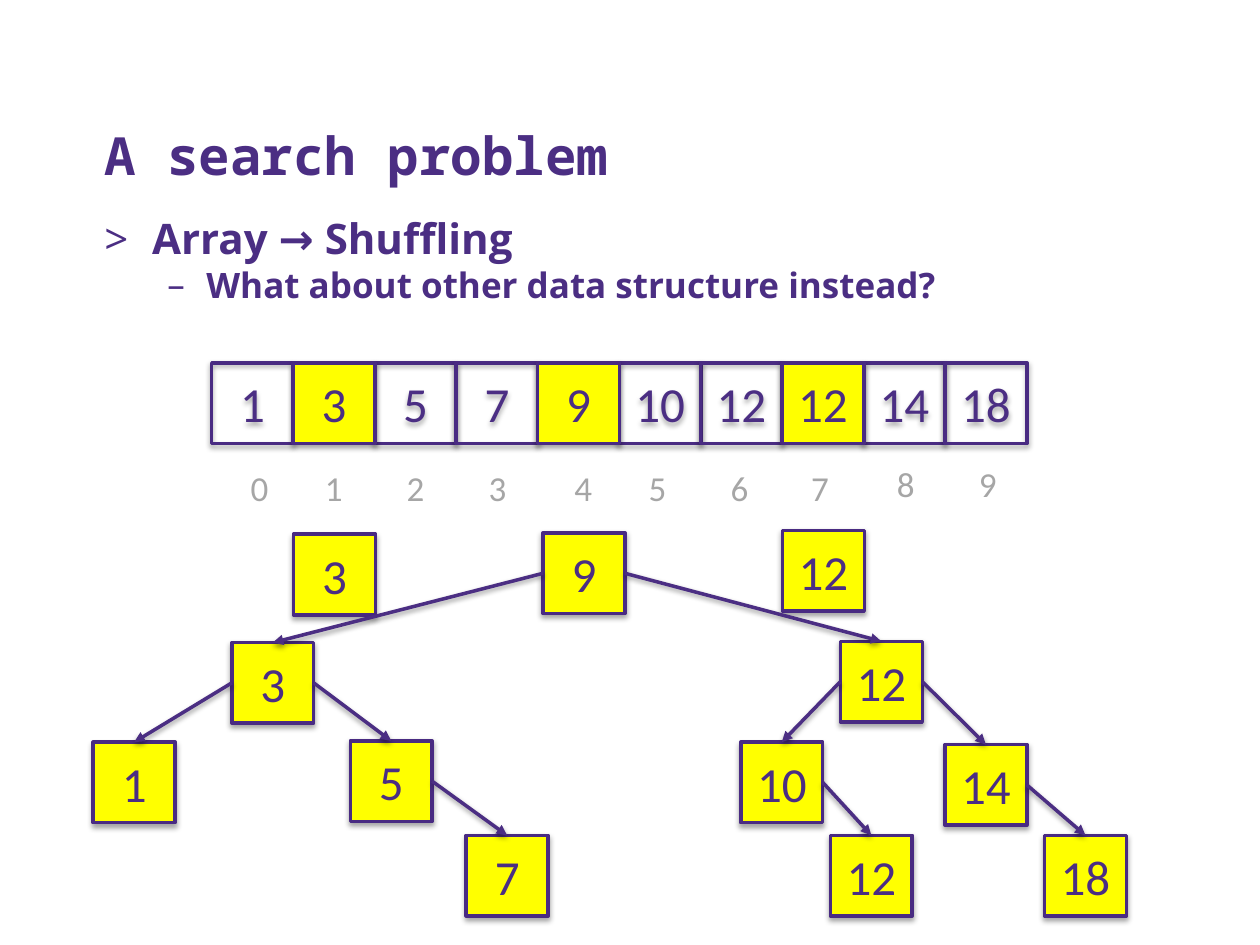
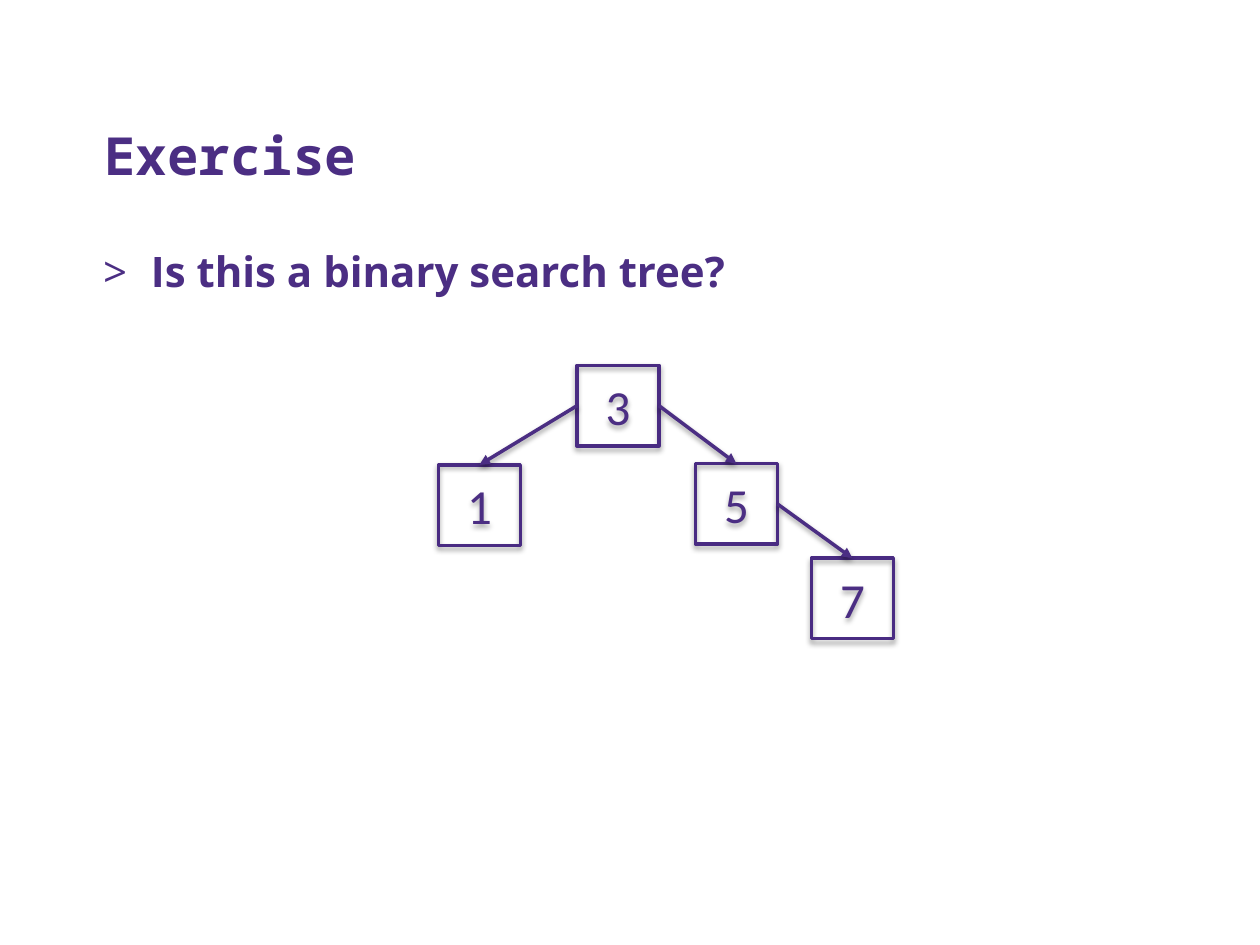
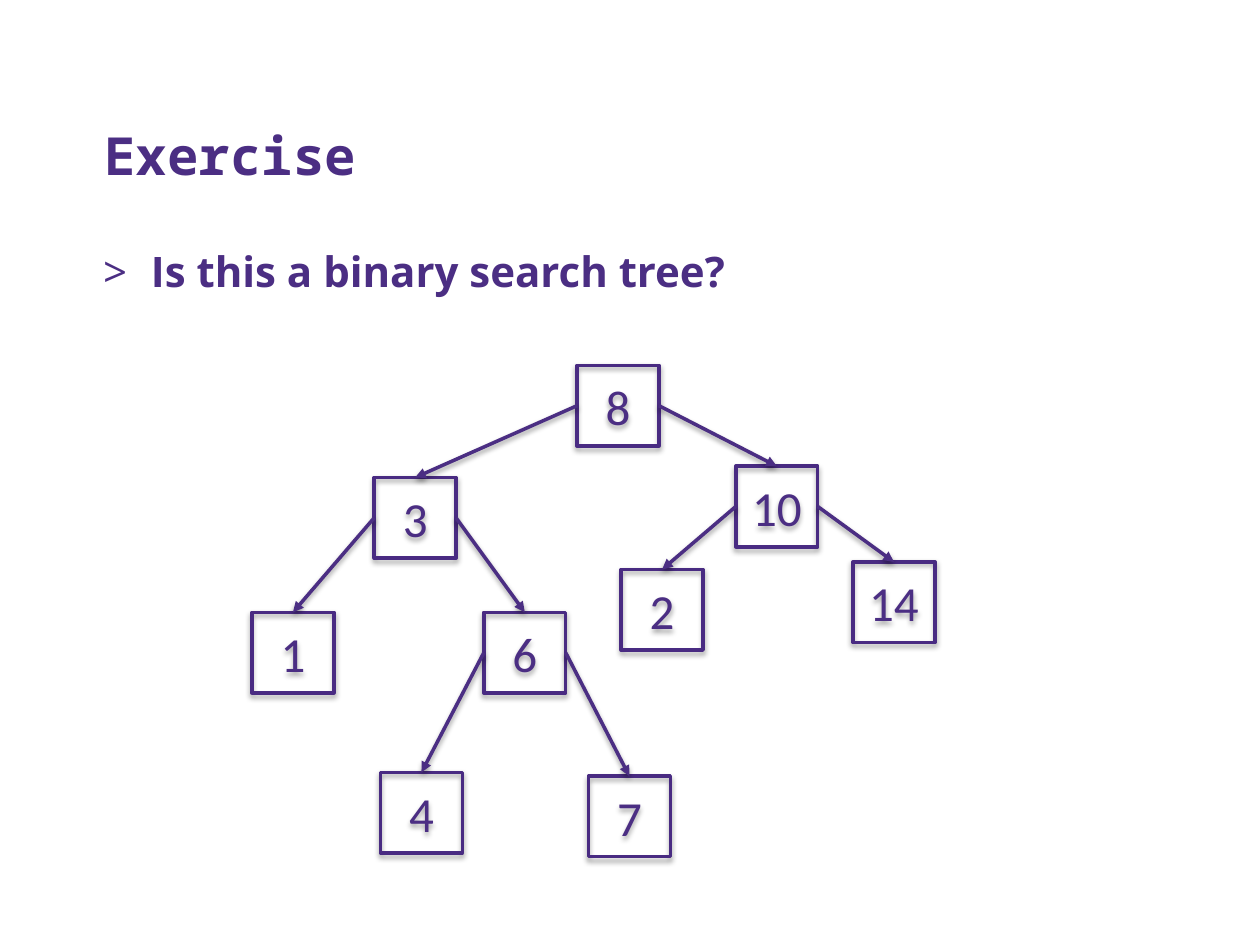
from pptx import Presentation
from pptx.dml.color import RGBColor
from pptx.enum import shapes, text
from pptx.oxml import parse_xml, ns
from pptx.util import Inches, Pt

PURPLE, EDGE, GRAY, YELLOW = "4B2E83", "492B82", "A6A6A6", "FFFF00"
BOX_W, BOX_H = 0.65, 0.64
PITCH = 5.82 / 9
ARRAY = [1, 3, 5, 7, 9, 10, 12, 12, 14, 18]
PROBED = (1, 4, 7)
LABEL_X = [0.21, 0.8, 1.45, 2.1, 2.78, 3.37, 4.02, 4.66, 5.34, 5.99]
BULLETS = [(">", 24, 0.38, 0.38), ("–", 20, 0.81, 0.31)]

# Tree nodes: value, offset from the parent, left child, right child
SMALL_TREE = (3, -2.47, 0.87,
              (1, -1.1, 0.79, None, None),
              (5, 0.94, 0.78, None, (7, 0.92, 0.75, None, None)))
SEARCH_TREE = (9, 0, 0, SMALL_TREE,
               (12, 2.36, 0.86,
                (10, -0.79, 0.8, None, (12, 0.71, 0.74, None, None)),
                (14, 0.83, 0.82, None, (18, 0.79, 0.72, None, None))))
WIDE_TREE = (8, 0, 0,
             (3, -1.61, 0.89,
              (1, -0.97, 1.07, None, None),
              (6, 0.87, 1.07,
               (4, -0.82, 1.27, None, None),
               (7, 0.83, 1.3, None, None))),
             (10, 1.26, 0.8,
              (2, -0.91, 0.82, None, None),
              (14, 0.93, 0.76, None, None)))


def rgb(value):
    """Turn a hex string into a colour."""
    return RGBColor.from_string(value)


def style(font, name, size, color, bold=False):
    """Set the face, size, colour and weight of a font."""
    font.name, font.size, font.bold = name, Pt(size), bold
    font.color.rgb = rgb(color)


def add_shadow(sp, alpha, distance):
    """Give a shape or connector a soft shadow straight below it."""
    sp._element.spPr.append(parse_xml(
        f'<a:effectLst {ns.nsdecls("a")}><a:outerShdw blurRad="{Pt(3.1)}" '
        f'dist="{Pt(distance)}" dir="5400000" rotWithShape="0"><a:srgbClr val="000000">'
        f'<a:alpha val="{alpha * 1000}"/></a:srgbClr></a:outerShdw></a:effectLst>'))


def add_text(s, x, y, w, h):
    """Add an empty text box and return its frame."""
    tf = s.shapes.add_textbox(Inches(x), Inches(y), Inches(w), Inches(h)).text_frame
    tf.word_wrap = True
    return tf


def add_title(s, title):
    """Add the slide title."""
    tf = add_text(s, 0.73, 0.41, 8.95, 1.08)
    tf.vertical_anchor = text.MSO_ANCHOR.BOTTOM
    tf.margin_bottom = Inches(0.01)
    tf.text = title
    style(tf.paragraphs[0].runs[0].font, "Noto Sans Mono", 30, PURPLE, True)


def add_body(s, x, y, lines):
    """Add bulleted lines, each one level deeper than the line above."""
    tf = add_text(s, x, y, 8.96, 1)
    tf.text = "\n".join(lines)
    for p, (mark, size, indent, hang) in zip(tf.paragraphs, BULLETS):
        pPr = p._p.get_or_add_pPr()
        pPr.set("marL", str(Inches(indent)))
        pPr.set("indent", str(-Inches(hang)))
        for tag in ('buFont typeface="Open Sans"', f'buChar char="{mark}"'):
            pPr.append(parse_xml(f'<a:{tag} {ns.nsdecls("a")}/>'))
        style(p.runs[0].font, "Open Sans", size, PURPLE, True)


def add_box(s, x, y, value, fill=None):
    """Add one outlined square with a number in it."""
    sp = s.shapes.add_shape(shapes.MSO_SHAPE.RECTANGLE, Inches(x), Inches(y),
                            Inches(BOX_W), Inches(BOX_H))
    if fill:
        sp.fill.solid()
        sp.fill.fore_color.rgb = rgb(fill)
    else:
        sp.fill.background()
    sp.line.color.rgb = rgb(EDGE)
    sp.line.width = Pt(2)
    add_shadow(sp, 35, 1.8)
    tf = sp.text_frame
    tf.text = str(value)
    tf.vertical_anchor = text.MSO_ANCHOR.MIDDLE
    p = tf.paragraphs[0]
    p.alignment = text.PP_ALIGN.CENTER
    style(p.runs[0].font, "Calibri", 28, PURPLE)
    return sp


def add_arrow(s, parent, side, child):
    """Join a side of the parent to the top of the child."""
    c = s.shapes.add_connector(shapes.MSO_CONNECTOR.STRAIGHT, 0, 0, 0, 0)
    c.begin_connect(parent, side)
    c.end_connect(child, 0)
    c.line.color.rgb = rgb(PURPLE)
    c.line.width = Pt(2)
    c.line._get_or_add_ln().append(parse_xml(f'<a:tailEnd {ns.nsdecls("a")} type="triangle"/>'))
    add_shadow(c, 38, 1.6)


def add_tree(s, x, y, node, fill=None):
    """Draw a tree with its root at x, y and return the root box."""
    value, _, _, left, right = node
    root = add_box(s, x, y, value, fill)
    for side, child in ((1, left), (3, right)):
        if child:
            add_arrow(s, root, side, add_tree(s, x + child[1], y + child[2], child, fill))
    return root


def add_array(s, x, y):
    """Draw the array with probed cells on top and indexes below."""
    for i in sorted(range(len(ARRAY)), key=lambda i: i in PROBED):
        add_box(s, x + i * PITCH, y, ARRAY[i], YELLOW if i in PROBED else None)
    for i, dx in enumerate(LABEL_X):
        tf = add_text(s, x + dx, y + (0.77 if i < 8 else 0.74), 0.34, 0.44)
        tf.word_wrap = False
        tf.text = str(i)
        style(tf.paragraphs[0].runs[0].font, "Calibri", 20, GRAY)


def add_slide(prs, title):
    """Add a blank slide with a title."""
    s = prs.slides.add_slide(prs.slide_layouts[6])
    add_title(s, title)
    return s


def search_slide(prs):
    """Build the slide that turns the array into a tree."""
    s = add_slide(prs, "A search problem")
    add_body(s, 0.73, 1.64, ["Array → Shuffling", "What about other data structure instead?"])
    add_array(s, 1.68, 2.88)
    add_box(s, 2.33, 4.24, 3, YELLOW)
    add_box(s, 6.21, 4.21, 12, YELLOW)
    add_tree(s, 4.31, 4.23, SEARCH_TREE, YELLOW)


def exercise_slide(prs, tree):
    """Build an exercise slide about one tree."""
    s = add_slide(prs, "Exercise")
    add_body(s, 0.72, 1.9, ["Is this a binary search tree?"])
    add_tree(s, 4.58, 2.9, tree)


def main():
    """Build the presentation."""
    prs = Presentation()
    prs.slide_width, prs.slide_height = Inches(10), Inches(7.5)
    search_slide(prs)
    for tree in (SMALL_TREE, WIDE_TREE):
        exercise_slide(prs, tree)
    prs.save("out.pptx")


if __name__ == "__main__":
    main()
